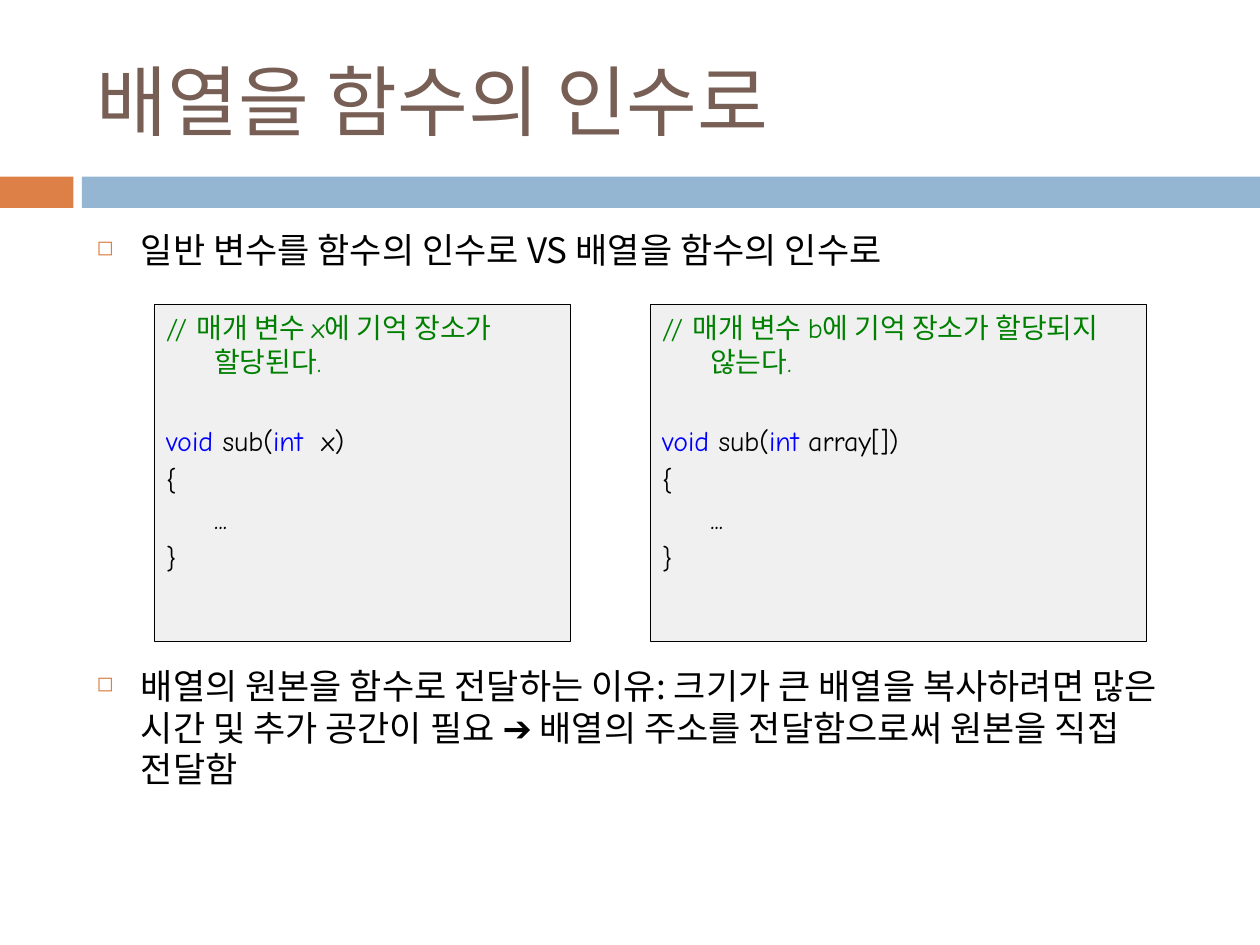
import pptx
import pptx.dml.color
import pptx.enum.shapes
import pptx.enum.text
import pptx.oxml
import pptx.oxml.ns
import pptx.util

Cm = pptx.util.Cm
Pt = pptx.util.Pt

HANGUL_FONT = "Noto Sans CJK KR"
CODE_FONT = "Comic Neue"
BROWN, ORANGE, BLUE, GREY = "775F55", "DD8047", "94B6D2", "F0F0F0"
BLACK, KEYWORD, COMMENT = "000000", "0000FF", "008000"


def rgb(hex_colour):
    return pptx.dml.color.RGBColor.from_string(hex_colour)


def apply_format(target, values):
    for name, value in values.items():
        setattr(target, name, value)


def add_run(paragraph, text, size, font, colour):
    run = paragraph.add_run()
    run.text = text
    apply_format(run.font, {"size": Pt(size), "name": font})
    run.font.color.rgb = rgb(colour)
    east_asian = pptx.oxml.parse_xml(
        f'<a:ea {pptx.oxml.ns.nsdecls("a")} typeface="{HANGUL_FONT}"/>')
    run.font._element.append(east_asian)


def set_hanging_indent(paragraph, indent):
    properties = paragraph._p.get_or_add_pPr()
    properties.set("marL", str(indent))
    properties.set("indent", str(-indent))
    return properties


def add_rectangle(slide, left, top, width, height, fill):
    rectangle = slide.shapes.add_shape(
        pptx.enum.shapes.MSO_SHAPE.RECTANGLE, left, top, width, height)
    rectangle.shadow.inherit = False
    rectangle.fill.solid()
    rectangle.fill.fore_color.rgb = rgb(fill)
    rectangle.line.fill.background()
    return rectangle


def add_title(slide, left, top, width, height, text):
    title = slide.shapes.add_textbox(left, top, width, height).text_frame
    apply_format(title, {
        "word_wrap": True,
        "vertical_anchor": pptx.enum.text.MSO_ANCHOR.MIDDLE,
    })
    add_run(title.paragraphs[0], text, 44, "Calibri", BROWN)


def add_band(slide, left, top, width, height):
    """Place a short accent block and a long bar with a gap between them."""
    accent_width, gap = Cm(1.48), Cm(0.17)
    bar_offset = accent_width + gap
    add_rectangle(slide, left, top, accent_width, height, ORANGE)
    add_rectangle(slide, left + bar_offset, top, width - bar_offset, height, BLUE)


def add_bullet(slide, left, top, width, height, text):
    frame = slide.shapes.add_textbox(left, top, width, height).text_frame
    frame.word_wrap = True
    point = frame.paragraphs[0]
    point.line_spacing = Pt(23.7)
    properties = set_hanging_indent(point, Cm(0.89))
    namespace = pptx.oxml.ns.nsdecls("a")
    for marker in (
        f'<a:buClr {namespace}><a:srgbClr val="{ORANGE}"/></a:buClr>',
        f'<a:buSzPct {namespace} val="60000"/>',
        f'<a:buChar {namespace} char="◻"/>',
    ):
        properties.append(pptx.oxml.parse_xml(marker))
    add_run(point, text, 20, HANGUL_FONT, BLACK)


def add_code_panel(slide, left, top, width, height, comment, parameter):
    """Show a comment and the outline of sub() taking the given parameter."""
    panel = add_rectangle(slide, left, top, width, height, GREY)
    panel.line.color.rgb = rgb(BLACK)
    panel.line.width = Pt(0.25)
    frame = panel.text_frame
    apply_format(frame, {
        "word_wrap": True,
        "vertical_anchor": pptx.enum.text.MSO_ANCHOR.TOP,
    })
    signature = [("void", KEYWORD), (" sub(", BLACK),
                 ("int", KEYWORD), (parameter + ")", BLACK)]
    lines = [
        (0, [(comment, COMMENT)]),
        (25.65, signature),
        (3.2, [("{", BLACK)]),
        (3.2, [("\t...", BLACK)]),
        (3.2, [("}", BLACK)]),
    ]
    for number, (space_before, pieces) in enumerate(lines):
        line = frame.add_paragraph() if number else frame.paragraphs[0]
        apply_format(line, {
            "alignment": pptx.enum.text.PP_ALIGN.LEFT,
            "space_before": Pt(space_before),
            "line_spacing": Pt(19.25),
        })
        set_hanging_indent(line, Cm(0.97))
        for text, colour in pieces:
            add_run(line, text, 16, CODE_FONT, colour)


def main():
    presentation = pptx.Presentation()
    apply_format(presentation, {"slide_width": Cm(25.4), "slide_height": Cm(19.05)})
    slide = presentation.slides.add_slide(presentation.slide_layouts[6])

    add_band(slide, Cm(0), Cm(3.56), presentation.slide_width, Cm(0.63))

    left, width = Cm(1.7), Cm(22.65)
    add_title(slide, left, Cm(0.64), width, Cm(2.74), "배열을 함수의 인수로")
    add_bullet(slide, left, Cm(4.5), width, Cm(1.1),
               "일반 변수를 함수의 인수로 VS 배열을 함수의 인수로")
    add_bullet(slide, left, Cm(13.29), width, Cm(2.8),
               "배열의 원본을 함수로 전달하는 이유: 크기가 큰 배열을 복사하려면 많은 "
               "시간 및 추가 공간이 필요 ➔ 배열의 주소를 전달함으로써 원본을 직접 전달함")

    panel_top, panel_height = Cm(6.14), Cm(6.79)
    add_code_panel(slide, Cm(3.1), panel_top, Cm(8.4), panel_height,
                   "// 매개 변수 x에 기억 장소가 할당된다.", "  x")
    add_code_panel(slide, Cm(13.1), panel_top, Cm(10), panel_height,
                   "// 매개 변수 b에 기억 장소가 할당되지 않는다.", " array[]")

    presentation.save("out.pptx")


if __name__ == "__main__":
    main()
